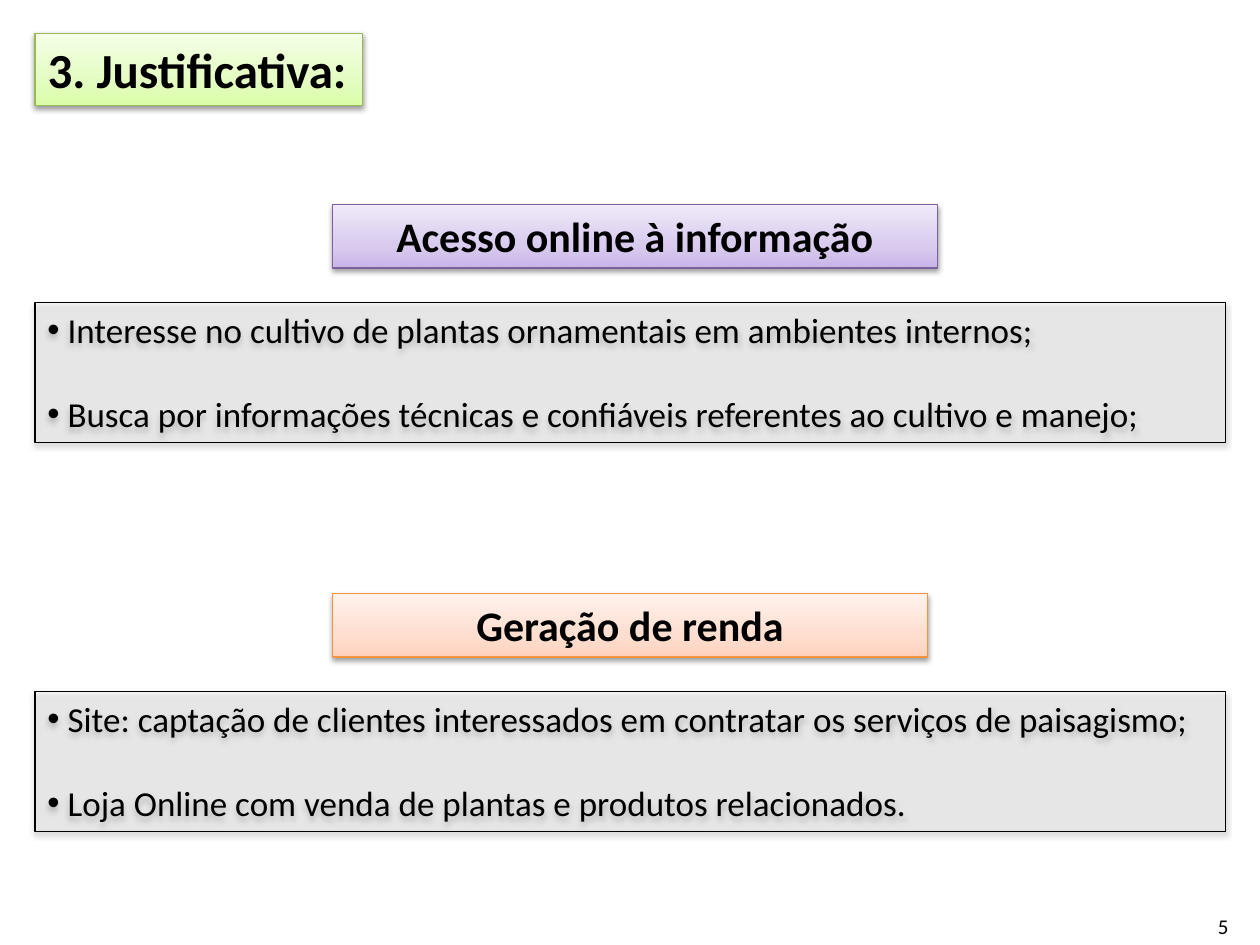
from pptx import Presentation
from pptx.dml.color import RGBColor
from pptx.enum.shapes import MSO_SHAPE
from pptx.enum.text import MSO_ANCHOR, MSO_AUTO_SIZE, PP_ALIGN
from pptx.oxml.ns import qn
from pptx.util import Pt
from lxml.etree import SubElement

COLOURS = {
    "text": "000000",
    "line": "000000",
    "shadow": "000000",
    "list": "F2F2F2",
    "green": ["DAFDA7", "E4FCC2", "F5FFE7"],
    "green line": "98B955",
    "purple": ["C9B5E8", "D8CBEE", "F0EAF9"],
    "purple line": "7D60A0",
    "orange": ["FFD2BD", "FFDED0", "FFF2ED"],
    "orange line": "F69240",
}
STOPS = [0, 35, 100]
MARGIN = 20
HEADING_LEFT = 190
SECTIONS = [
    (116.8, 345.6, "purple", "Acesso online à informação", [
        "Interesse no cultivo de plantas ornamentais em ambientes internos;",
        "Busca por informações técnicas e confiáveis referentes ao cultivo e manejo;",
    ]),
    (339.1, 340, "orange", "Geração de renda", [
        "Site: captação de clientes interessados em contratar os serviços de paisagismo;",
        "Loja Online com venda de plantas e produtos relacionados.",
    ]),
]


def place(shape, left, top, width, height):
    shape.left, shape.top = Pt(left), Pt(top)
    shape.width, shape.height = Pt(width), Pt(height)


def add_colour(parent, colour, alpha=None):
    tag = SubElement(parent, qn("a:srgbClr"), val=colour)
    if alpha is not None:
        SubElement(tag, qn("a:alpha"), val=str(alpha * 1000))


def set_outline(shape, colour):
    shape.line.color.rgb = RGBColor.from_string(colour)
    shape.line.width = Pt(0.75)


def set_shadow(shape):
    shape.shadow.inherit = False
    effects = shape._element.spPr.find(qn("a:effectLst"))
    shadow = SubElement(effects, qn("a:outerShdw"), blurRad=str(Pt(3.1)),
                        dist=str(Pt(1.6)), dir="5400000", rotWithShape="0")
    add_colour(shadow, COLOURS["shadow"], 38)


def set_gradient(shape, colours):
    shape.fill.gradient()
    shape.fill.gradient_angle = 90
    stops = shape._element.spPr.find(qn("a:gradFill")).find(qn("a:gsLst"))
    for stop in list(stops):
        stops.remove(stop)
    for position, colour in zip(STOPS, colours):
        add_colour(SubElement(stops, qn("a:gs"), pos=str(position * 1000)), colour)


def set_text(shape, lines, size, bold=False, align=PP_ALIGN.LEFT, anchor=MSO_ANCHOR.TOP):
    frame = shape.text_frame
    frame.word_wrap = True
    frame.auto_size = MSO_AUTO_SIZE.NONE
    frame.vertical_anchor = anchor
    frame.text = "\n".join(lines)
    for para in frame.paragraphs:
        para.alignment = align
        for span in para.runs:
            span.font.name = "Calibri"
            span.font.size = Pt(size)
            span.font.bold = bold
            span.font.color.rgb = RGBColor.from_string(COLOURS["text"])


def format_heading(shape, text, theme, size, align):
    set_gradient(shape, COLOURS[theme])
    set_outline(shape, COLOURS[theme + " line"])
    set_shadow(shape)
    set_text(shape, [text], size, True, align)


def add_title(page, text):
    title = page.shapes.title
    place(title, MARGIN, 19, 187.2, 41.2)
    format_heading(title, text, "green", 28, PP_ALIGN.LEFT)


def add_box(page, left, top, width, height):
    box = page.shapes.add_shape(MSO_SHAPE.RECTANGLE, 0, 0, 0, 0)
    place(box, left, top, width, height)
    return box


def add_bullet_list(page, top, items):
    box = add_box(page, MARGIN, top, 680.4, 80)
    box.fill.solid()
    box.fill.fore_color.rgb = RGBColor.from_string(COLOURS["list"])
    fill_colour = box._element.spPr.find(qn("a:solidFill")).find(qn("a:srgbClr"))
    SubElement(fill_colour, qn("a:alpha"), val="30000")
    set_outline(box, COLOURS["line"])
    set_shadow(box)
    set_text(box, items, 20)
    for number, para in enumerate(box.text_frame.paragraphs):
        if number:
            para.space_before = Pt(24)
        properties = para._p.get_or_add_pPr()
        properties.set("marL", str(Pt(11.5)))
        properties.set("indent", str(-Pt(11.5)))
        SubElement(properties, qn("a:buFont"), typeface="Arial")
        SubElement(properties, qn("a:buChar"), char="•")


def add_section(page, top, width, theme, heading, items):
    add_bullet_list(page, top + 56, items)
    box = add_box(page, HEADING_LEFT, top, width, 36.3)
    format_heading(box, heading, theme, 24, PP_ALIGN.CENTER)


def add_page_number(page, number):
    box = page.shapes.add_textbox(Pt(541.4), Pt(514.8), Pt(167.8), Pt(28.8))
    set_text(box, [number], 12, align=PP_ALIGN.RIGHT, anchor=MSO_ANCHOR.MIDDLE)


def main():
    deck = Presentation()
    deck.slide_width, deck.slide_height = Pt(720), Pt(540)
    page = deck.slides.add_slide(deck.slide_layouts[5])
    add_title(page, "3. Justificativa:")
    add_page_number(page, "5")
    for section in SECTIONS:
        add_section(page, *section)
    deck.save("out.pptx")


if __name__ == "__main__":
    main()
